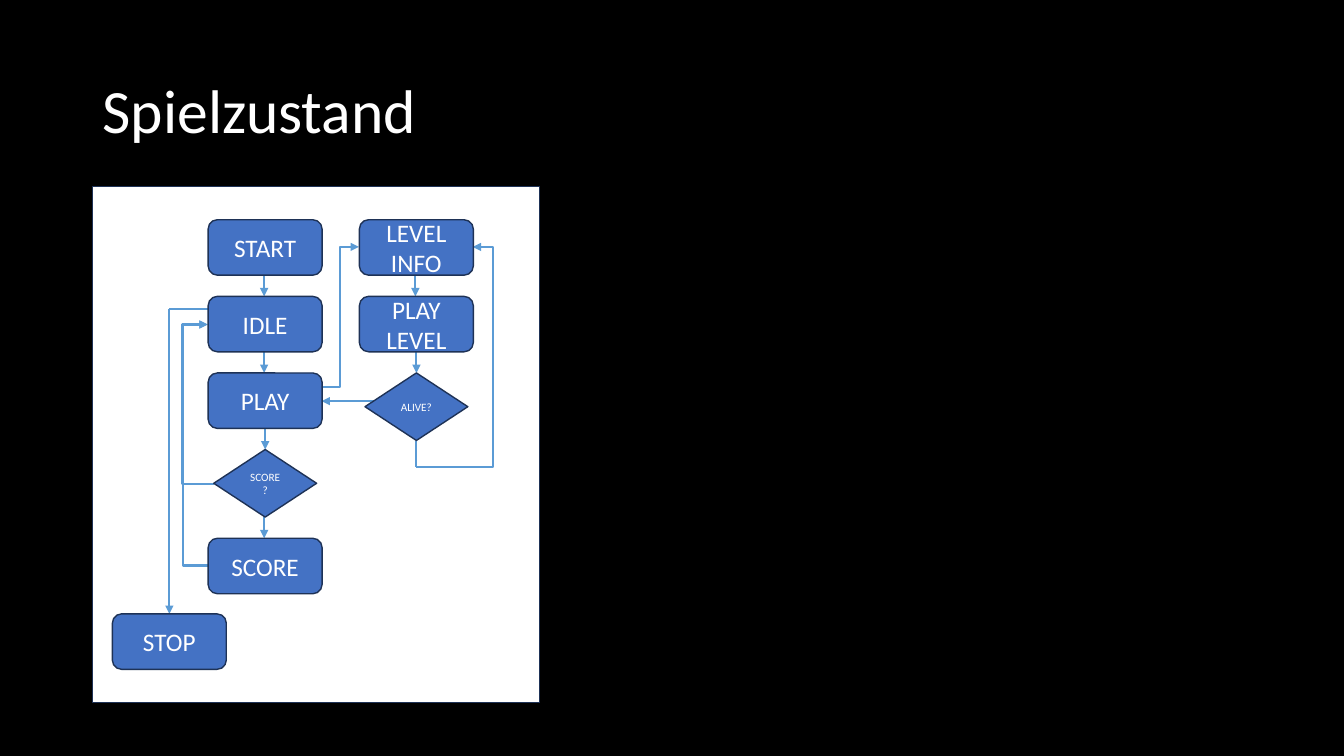
"""Build the slide showing the game state flowchart."""
from pptx import Presentation
from pptx.dml.color import RGBColor
from pptx.enum.shapes import MSO_CONNECTOR, MSO_SHAPE
from pptx.enum.text import MSO_ANCHOR, PP_ALIGN
from pptx.oxml.ns import qn
from pptx.util import Inches, Pt
from lxml import etree

RECT, ROUND, DIAMOND = MSO_SHAPE.RECTANGLE, MSO_SHAPE.ROUNDED_RECTANGLE, MSO_SHAPE.DIAMOND
STRAIGHT, ELBOW = MSO_CONNECTOR.STRAIGHT, MSO_CONNECTOR.ELBOW
MIDDLE, CENTER = MSO_ANCHOR.MIDDLE, PP_ALIGN.CENTER

COLORS = {"back": "000000", "panel": "FFFFFF", "node": "4472C4",
          "edge": "1E3256", "arrow": "5B9BD5", "text": "FFFFFF"}
FONT = "Calibri"
TITLE = "Spielzustand"
PANEL = (0.92, 1.85, 4.43, 5.12)
BOX, CHOICE = (1.13, 0.55), (1.02, 0.67)
LEFT, RIGHT, STOP_X = 2.63, 4.13, 1.68
TOP, STEP = 2.18, 0.76
SCORE_Y, STOP_Y = 5.34, 6.09
ROWS = [TOP + STEP * i for i in range(4)]

NODES = [
    ("START", ROUND, LEFT, ROWS[0]),
    ("IDLE", ROUND, LEFT, ROWS[1]),
    ("PLAY", ROUND, LEFT, ROWS[2]),
    ("SCORE?", DIAMOND, LEFT, ROWS[3]),
    ("SCORE", ROUND, LEFT, SCORE_Y),
    ("STOP", ROUND, STOP_X, STOP_Y),
    ("LEVEL INFO", ROUND, RIGHT, ROWS[0]),
    ("PLAY\nLEVEL", ROUND, RIGHT, ROWS[1]),
    ("ALIVE?", DIAMOND, RIGHT, ROWS[2]),
]
DOWN_ARROWS = [
    (LEFT - 0.01, ROWS[0] + BOX[1], ROWS[1]),
    (LEFT - 0.01, ROWS[1] + BOX[1], ROWS[2]),
    (LEFT, ROWS[2] + BOX[1], ROWS[3]),
    (LEFT - 0.01, ROWS[3] + CHOICE[1], SCORE_Y),
    (RIGHT - 0.01, ROWS[0] + BOX[1], ROWS[1]),
    (RIGHT, ROWS[1] + BOX[1], ROWS[2]),
    (STOP_X, 3.07, STOP_Y),
]
STUBS = [((2.06, 3.07), (STOP_X, 3.07)), ((RIGHT, 4.38), (RIGHT, 4.63))]
ELBOWS = [
    ((3.19, 3.84), (3.56, 2.45), 3.37),
    ((2.12, 4.8), (2.06, 3.22), 1.81),
    ((2.07, 5.61), (2.06, 3.22), 1.81),
    ((RIGHT, 4.63), (4.69, 2.45), 4.89),
]


def rgb(name):
    return RGBColor.from_string(COLORS[name])


def write(sp, text, size, align=None, spacing=None):
    tf = sp.text_frame
    tf.word_wrap = True
    tf.vertical_anchor = MIDDLE
    tf.text = text
    for p in tf.paragraphs:
        p.alignment, p.line_spacing = align, spacing
        p.font.name, p.font.size = FONT, Pt(size)
        p.font.color.rgb = rgb("text")


def add_block(s, kind, box, fill):
    sp = s.shapes.add_shape(kind, *map(Inches, box))
    sp.shadow.inherit = False
    sp.fill.solid()
    sp.fill.fore_color.rgb = rgb(fill)
    sp.line.color.rgb = rgb("edge")
    sp.line.width = Pt(1)
    return sp


def add_link(s, start, end, turn_x=None, arrow=True):
    kind = STRAIGHT if turn_x is None else ELBOW
    c = s.shapes.add_connector(kind, *map(Inches, start + end))
    c.line.color.rgb = rgb("arrow")
    c.line.width = Pt(1.5)
    pr = c._element.spPr
    etree.SubElement(pr, qn("a:effectLst"))
    if arrow:
        etree.SubElement(pr.find(qn("a:ln")), qn("a:tailEnd"), type="triangle")
    if turn_x is not None:
        share = (turn_x - start[0]) / (end[0] - start[0])
        guides = pr.find(qn("a:prstGeom")).find(qn("a:avLst"))
        etree.SubElement(guides, qn("a:gd"), name="adj1", fmla=f"val {round(share * 100000)}")


prs = Presentation()
prs.slide_width, prs.slide_height = Inches(13.33), Inches(7.5)
s = prs.slides.add_slide(prs.slide_layouts[6])
s.background.fill.solid()
s.background.fill.fore_color.rgb = rgb("back")

title = s.shapes.add_textbox(*map(Inches, (0.92, 0.4, 11.5, 1.45)))
write(title, TITLE, 44, spacing=0.9)
add_block(s, RECT, PANEL, "panel")

for x, y1, y2 in DOWN_ARROWS:
    add_link(s, (x, y1), (x, y2))
for start, end in STUBS:
    add_link(s, start, end, arrow=False)
add_link(s, (3.89, 3.98), (3.19, 3.98))
for start, end, turn_x in ELBOWS:
    add_link(s, start, end, turn_x)

for text, kind, center, top in NODES:
    w, h = CHOICE if kind == DIAMOND else BOX
    sp = add_block(s, kind, (center - w / 2, top, w, h), "node")
    write(sp, text, 8 if kind == DIAMOND else 18, CENTER)

prs.save("out.pptx")
